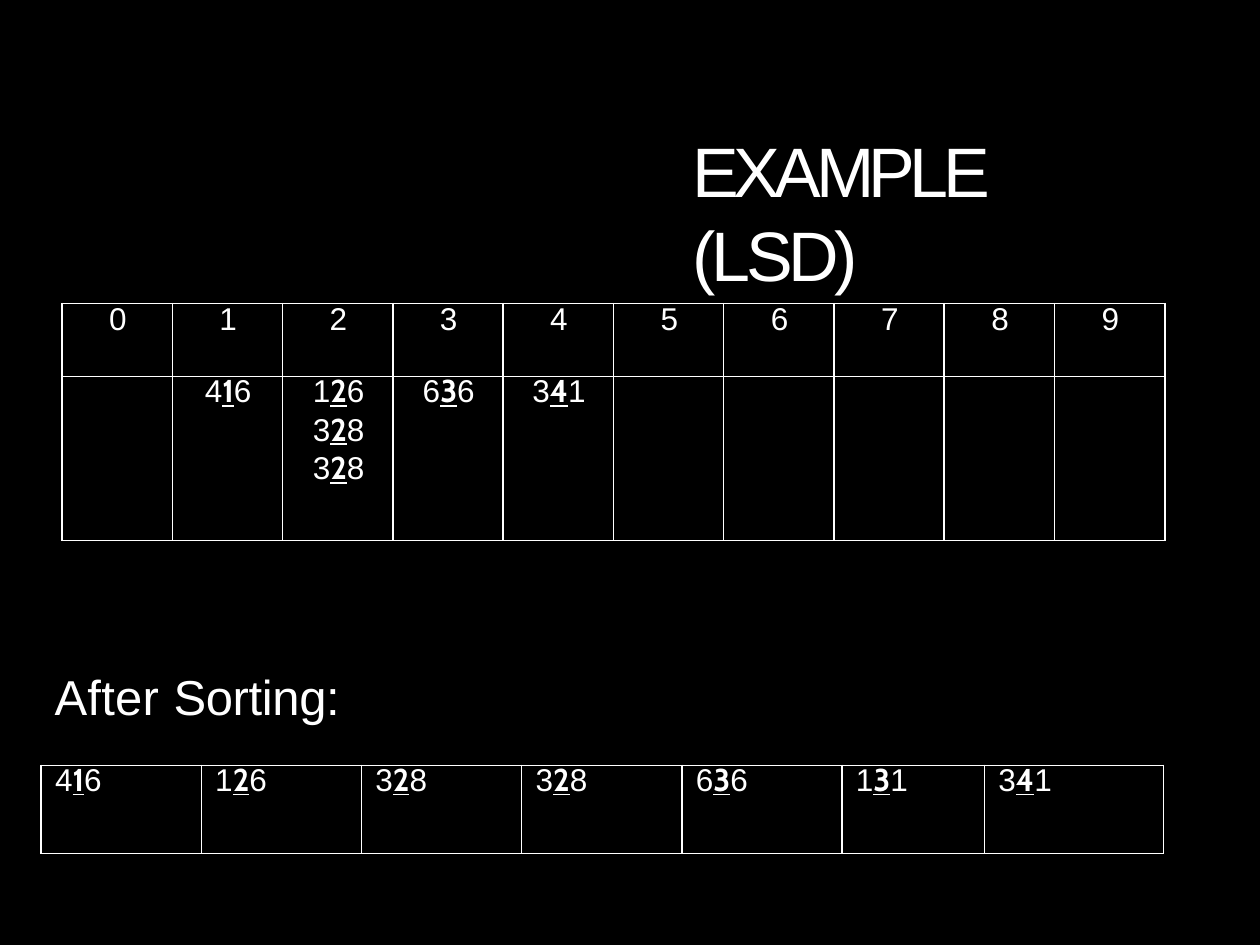
import collections
import dataclasses

import pptx
import pptx.dml.color
import pptx.enum.text
import pptx.oxml
import pptx.oxml.ns
import pptx.util

Cm = pptx.util.Cm
Pt = pptx.util.Pt
RGB = pptx.dml.color.RGBColor
CENTER = pptx.enum.text.PP_ALIGN.CENTER

Box = collections.namedtuple("Box", "left top width height")


@dataclasses.dataclass(frozen=True)
class Theme:
    """Colours, fonts and type sizes of the slide."""
    ground: str = "000000"
    ink: str = "FFFFFF"
    font: str = "Arial"
    key_font: str = "Cabin"
    title: float = 40
    caption: float = 28
    body: float = 18


THEME = Theme()


def add_run(p, text, size, spacing=0, key=False):
    """Add one run; a key run is bold and underlined."""
    r = p.add_run()
    r.text = text
    r.font.size = Pt(size)
    r.font.name = THEME.key_font if key else THEME.font
    r.font.bold = r.font.underline = key
    r.font.color.rgb = RGB.from_string(THEME.ink)
    r.font._element.set("spc", str(round(spacing * 100)))


def add_number(p, number):
    """Write a number with its middle digit marked as the sort key."""
    for i, digit in enumerate(number):
        add_run(p, digit, THEME.body, -0.3, key=i == 1)


def set_indent(p, indent):
    """Set the left margin of a paragraph in centimetres."""
    p._p.get_or_add_pPr().set("marL", str(Cm(indent)))


def add_text(s, box, runs, size, indent, before, line=None):
    """Add a text box with one paragraph of (text, spacing) runs."""
    sp = s.shapes.add_textbox(*map(Cm, box))
    tf = sp.text_frame
    tf.word_wrap = True
    tf.margin_left = tf.margin_right = tf.margin_bottom = 0
    tf.margin_top = Cm(0.03)
    p = tf.paragraphs[0]
    set_indent(p, indent)
    p.space_before = Pt(before)
    if line:
        p.line_spacing = Pt(line)
    for text, spacing in runs:
        add_run(p, text, size, spacing)


def style_cell(cell):
    """Give a cell no margins, a ground fill and four ink borders."""
    cell.margin_left = cell.margin_right = cell.margin_top = cell.margin_bottom = 0
    tc_pr = cell._tc.get_or_add_tcPr()
    for side in ("lnL", "lnR", "lnT", "lnB"):
        tc_pr.append(pptx.oxml.parse_xml(
            f'<a:{side} {pptx.oxml.ns.nsdecls("a")} w="{Pt(1)}"><a:solidFill>'
            f'<a:srgbClr val="{THEME.ink}"/></a:solidFill></a:{side}>'))
    cell.fill.solid()
    cell.fill.fore_color.rgb = RGB.from_string(THEME.ground)


def add_grid(s, box, widths, heights):
    """Add a plain ruled table whose columns and rows share out the box."""
    table = s.shapes.add_table(len(heights), len(widths), *map(Cm, box)).table
    table.first_row = table.horz_banding = False
    for column, width in zip(table.columns, widths):
        column.width = Cm(box.width * width / sum(widths))
    for row, height in zip(table.rows, heights):
        row.height = Cm(box.height * height / sum(heights))
    for cell in table.iter_cells():
        style_cell(cell)
    return table


def add_buckets(s, box, buckets):
    """Add the table of ten digits and the numbers in each bucket."""
    table = add_grid(s, box, [1] * 10, [0.58, 1.3])
    for digit in range(10):
        p = table.cell(0, digit).text_frame.paragraphs[0]
        p.alignment = CENTER
        p.line_spacing = Pt(19.2)
        set_indent(p, 0.03)
        add_run(p, str(digit), THEME.body)
        tf = table.cell(1, digit).text_frame
        numbers = buckets.get(digit, [])
        for i, number in enumerate(numbers):
            p = tf.add_paragraph() if i else tf.paragraphs[0]
            if i == 0:
                p.line_spacing = Pt(19.4)
            if len(numbers) == 1:
                p.alignment = CENTER
            set_indent(p, 0.03 if len(numbers) == 1 else 0.61)
            add_number(p, number)


def add_result(s, box, numbers):
    """Add the one-row table of numbers after sorting."""
    table = add_grid(s, box, [1.27] * 5 + [1.13, 1.42], [1])
    for cell, number in zip(table.iter_cells(), numbers):
        p = cell.text_frame.paragraphs[0]
        p.line_spacing = Pt(19.4)
        set_indent(p, 0.28)
        add_number(p, number)


def main():
    """Build and save the slide."""
    prs = pptx.Presentation()
    prs.slide_width, prs.slide_height = Cm(25.4), Cm(19.05)
    s = prs.slides.add_slide(prs.slide_layouts[6])
    s.background.fill.solid()
    s.background.fill.fore_color.rgb = RGB.from_string(THEME.ground)

    add_text(s, Box(1.85, 2.54, 21.69, 1.75), [("EXAMPLE ", -3.2), ("(LSD)", -2.5)],
             THEME.title, indent=12.12, before=2.2, line=48)
    add_result(s, Box(0.83, 15.43, 22.63, 1.78),
               ["416", "126", "328", "328", "636", "131", "341"])
    add_text(s, Box(1.07, 13.41, 5.84, 1.24), [("After ", 0.2), ("Sorting:", -0.2)],
             THEME.caption, indent=0.03, before=0.9)
    add_buckets(s, Box(1.25, 6.12, 22.23, 4.78),
                {1: ["416"], 2: ["126", "328", "328"], 3: ["636"], 4: ["341"]})
    prs.save("out.pptx")


if __name__ == "__main__":
    main()
